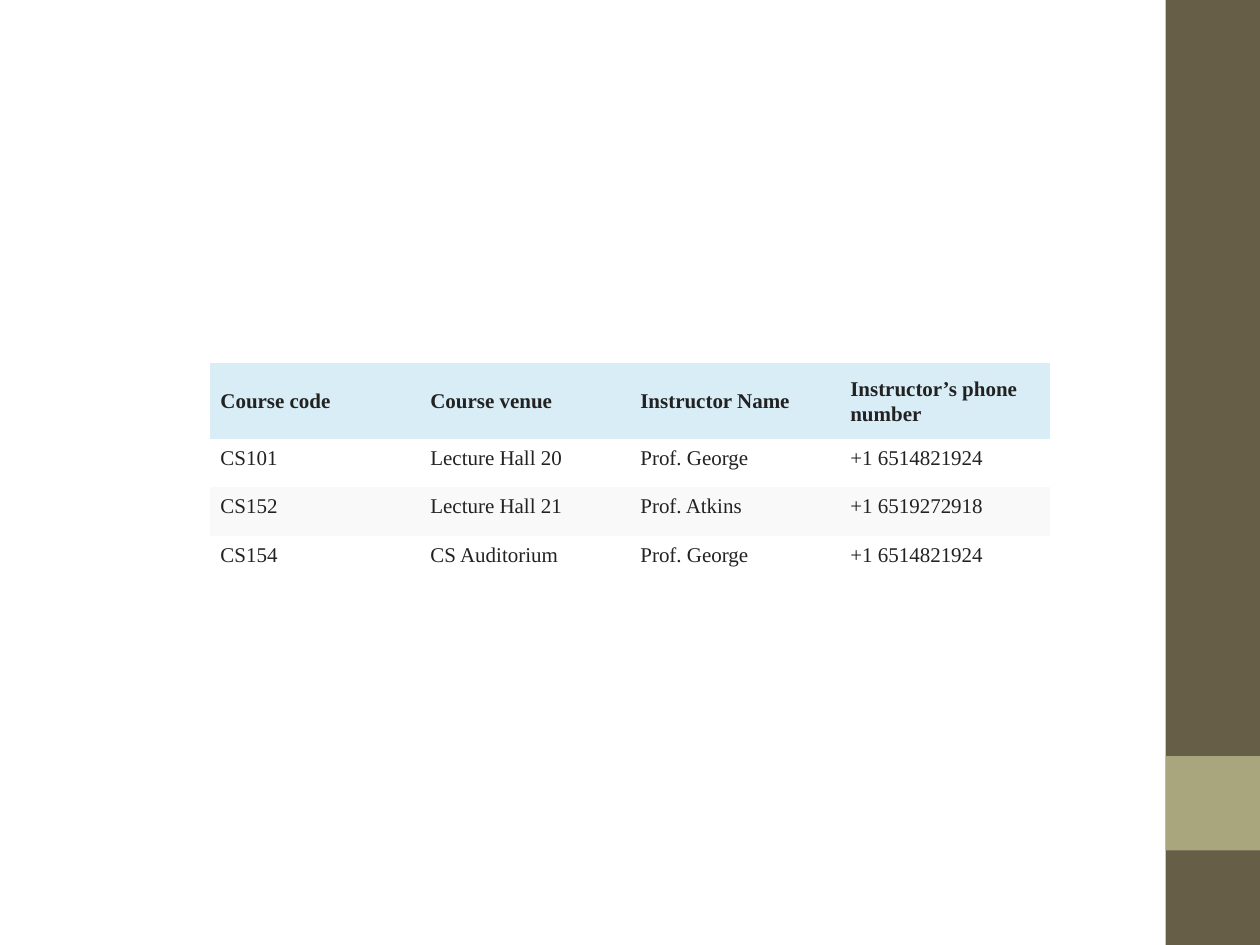
from dataclasses import dataclass

from pptx import Presentation
from pptx.dml.color import RGBColor as Color
from pptx.enum.shapes import MSO_SHAPE as Preset
from pptx.enum.text import MSO_ANCHOR as Anchor
from pptx.slide import Slide
from pptx.table import _Cell as Cell
from pptx.util import Cm, Pt


@dataclass(frozen=True)
class Theme:
    font: str = "Times New Roman"
    size: float = 12
    line_spacing: float = 1.07
    ink: str = "222222"
    header: str = "D9EDF7"
    bands: tuple[str, ...] = ("FFFFFF", "F9F9F9")
    sidebar: str = "675E47"
    accent: str = "A9A57C"


@dataclass(frozen=True)
class Block:
    """A plain rectangle, lengths in centimetres."""
    left: float
    top: float
    width: float
    height: float
    color: str


@dataclass(frozen=True)
class Row:
    texts: tuple[str, ...]
    height: float
    color: str
    bold: bool = False
    anchor: Anchor = Anchor.TOP


THEME = Theme()
PAGE_WIDTH, PAGE_HEIGHT = 25.4, 19.05
BAR_WIDTH = PAGE_WIDTH * 0.075
BAR_LEFT = PAGE_WIDTH - BAR_WIDTH
COLUMN_WIDTH = PAGE_WIDTH / 6
TABLE_LEFT, TABLE_TOP = COLUMN_WIDTH, 7.32
HEADER_HEIGHT, ROW_HEIGHT = 1.52, 0.98
NO_STYLE_NO_GRID = "{2D5ABB26-0587-4C30-8999-92F81FD0307C}"

BLOCKS = (
    Block(BAR_LEFT, 0, BAR_WIDTH, PAGE_HEIGHT, THEME.sidebar),
    Block(BAR_LEFT, PAGE_HEIGHT * 0.8, BAR_WIDTH, BAR_WIDTH, THEME.accent),
)
HEADINGS = ("Course code", "Course venue", "Instructor Name", "Instructor’s phone number")
COURSES = (
    ("CS101", "Lecture Hall 20", "Prof. George", "+1 6514821924"),
    ("CS152", "Lecture Hall 21", "Prof. Atkins", "+1 6519272918"),
    ("CS154", "CS Auditorium", "Prof. George", "+1 6514821924"),
)


def draw_block(page: Slide, block: Block) -> None:
    box = page.shapes.add_shape(
        Preset.RECTANGLE, Cm(block.left), Cm(block.top), Cm(block.width), Cm(block.height))
    box.shadow.inherit = False
    box.fill.solid()
    box.fill.fore_color.rgb = Color.from_string(block.color)
    box.line.fill.background()


def fill_cell(cell: Cell, text: str, row: Row) -> None:
    cell.fill.solid()
    cell.fill.fore_color.rgb = Color.from_string(row.color)
    cell.vertical_anchor = row.anchor
    cell.margin_left = cell.margin_right = Cm(0.21)
    cell.margin_top = cell.margin_bottom = Cm(0.13)
    para = cell.text_frame.paragraphs[0]
    para.line_spacing = THEME.line_spacing
    span = para.add_run()
    span.text = text
    span.font.name = THEME.font
    span.font.size = Pt(THEME.size)
    span.font.bold = row.bold
    span.font.color.rgb = Color.from_string(THEME.ink)


def draw_table(page: Slide, rows: list[Row]) -> None:
    columns = len(rows[0].texts)
    frame = page.shapes.add_table(
        len(rows), columns, Cm(TABLE_LEFT), Cm(TABLE_TOP),
        Cm(COLUMN_WIDTH * columns), Cm(sum(row.height for row in rows)))
    table = frame.table
    table.horz_banding = False
    # Replace the default style, which draws white grid lines
    style = frame._element.find(".//{*}tableStyleId")
    style.text = NO_STYLE_NO_GRID
    for line, row in zip(table.rows, rows):
        line.height = Cm(row.height)
        for cell, text in zip(line.cells, row.texts):
            fill_cell(cell, text, row)


def main() -> None:
    deck = Presentation()
    deck.slide_width, deck.slide_height = Cm(PAGE_WIDTH), Cm(PAGE_HEIGHT)
    page = deck.slides.add_slide(deck.slide_layouts[6])

    # Sidebar with its accent square
    for block in BLOCKS:
        draw_block(page, block)

    # Course table: header, then alternating bands
    rows = [Row(HEADINGS, HEADER_HEIGHT, THEME.header, bold=True, anchor=Anchor.MIDDLE)]
    for index, course in enumerate(COURSES):
        rows.append(Row(course, ROW_HEIGHT, THEME.bands[index % len(THEME.bands)]))
    draw_table(page, rows)

    deck.save("out.pptx")


if __name__ == "__main__":
    main()
